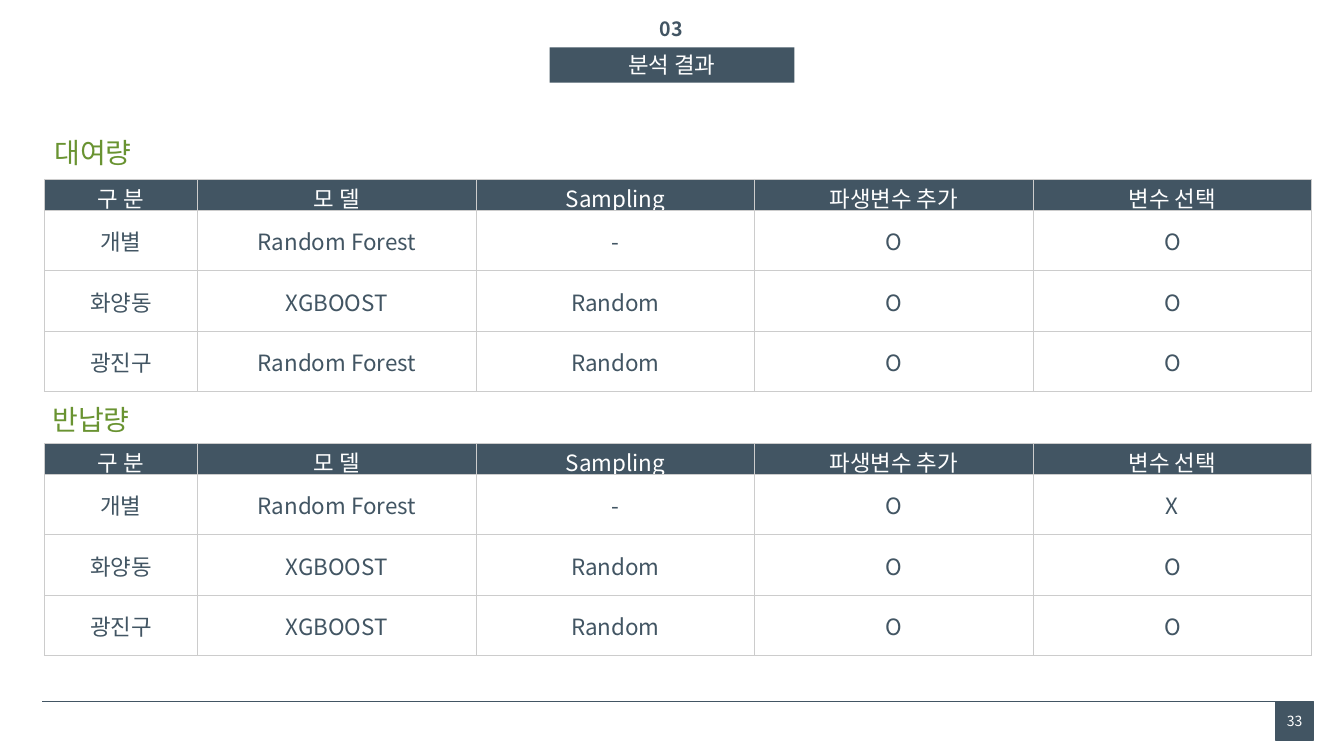
from lxml import etree
from pptx import Presentation
from pptx.dml.color import RGBColor
from pptx.enum.shapes import MSO_CONNECTOR, MSO_SHAPE
from pptx.enum.text import MSO_ANCHOR, MSO_AUTO_SIZE, PP_ALIGN
from pptx.oxml.ns import qn
from pptx.util import Inches, Pt

FONT = "Noto Sans CJK KR"
SLATE, GREEN, WHITE, GRAY = "425563", "699331", "FFFFFF", "CCCCCC"
HEADER = ["구 분", "모 델", "Sampling", "파생변수 추가", "변수 선택"]
RENTALS = [
    HEADER,
    ["개별", "Random Forest", "-", "O", "O"],
    ["화양동", "XGBOOST", "Random", "O", "O"],
    ["광진구", "Random Forest", "Random", "O", "O"],
]
RETURNS = [
    HEADER,
    ["개별", "Random Forest", "-", "O", "X"],
    ["화양동", "XGBOOST", "Random", "O", "O"],
    ["광진구", "XGBOOST", "Random", "O", "O"],
]


def color(hex_string):
    return RGBColor.from_string(hex_string)


def paint(fill, hex_string):
    fill.solid()
    fill.fore_color.rgb = color(hex_string)


def write(frame, text, size=16, ink=SLATE, bold=False, align=PP_ALIGN.CENTER):
    paragraph = frame.paragraphs[0]
    paragraph.alignment = align
    run = paragraph.add_run()
    run.text = text
    font = run.font
    font.size, font.bold, font.name = Pt(size), bold, FONT
    font.color.rgb = color(ink)
    etree.SubElement(run._r.get_or_add_rPr(), qn("a:ea"), typeface=FONT)


def add_label(slide, left, top, width, height, text, **text_format):
    box = slide.shapes.add_textbox(*map(Inches, (left, top, width, height)))
    box.text_frame.word_wrap = True
    write(box.text_frame, text, **text_format)


def add_heading(slide, left, top, width, number, title_text):
    add_label(slide, left, top, width, 0.34, number, size=14, bold=True)
    title = slide.shapes.title
    title.left, title.top = Inches(left + 0.22), Inches(top + 0.35)
    title.width, title.height = Inches(width - 0.43), Inches(0.35)
    paint(title.fill, SLATE)
    frame = title.text_frame
    frame.auto_size = MSO_AUTO_SIZE.NONE
    frame.vertical_anchor = MSO_ANCHOR.MIDDLE
    write(frame, title_text, ink=WHITE)


def add_borders(cell):
    properties = cell._tc.get_or_add_tcPr()
    for side in ("lnL", "lnR", "lnT", "lnB"):
        line = etree.SubElement(properties, qn(f"a:{side}"), w=str(Pt(0.75)))
        fill = etree.SubElement(line, qn("a:solidFill"))
        etree.SubElement(fill, qn("a:srgbClr"), val=GRAY)


def fill_cell(cell, text, is_header):
    side, top, bottom = (0.03, 0.02, 0.02) if is_header else (0.01, 0.01, 0)
    cell.margin_left = cell.margin_right = Inches(side)
    cell.margin_top, cell.margin_bottom = Inches(top), Inches(bottom)
    cell.vertical_anchor = MSO_ANCHOR.MIDDLE
    add_borders(cell)
    paint(cell.fill, SLATE if is_header else WHITE)
    write(cell.text_frame, text, ink=WHITE if is_header else SLATE)


def add_result_table(slide, left, top, width, height, rows):
    first_width, header_height, row_height = 1.52, 0.25, 0.6
    graphic_frame = slide.shapes.add_table(
        len(rows), len(HEADER), *map(Inches, (left, top, width, height)))
    table = graphic_frame.table
    other_width = (width - first_width) / (len(HEADER) - 1)
    for index, column in enumerate(table.columns):
        column.width = Inches(other_width if index else first_width)
    for index, row in enumerate(table.rows):
        row.height = Inches(row_height if index else header_height)
        for cell, text in zip(row.cells, rows[index]):
            fill_cell(cell, text, is_header=index == 0)
    graphic_frame.height = Inches(height)


def add_footer(slide, left, top, right, page):
    size = 0.38
    box = slide.shapes.add_shape(
        MSO_SHAPE.RECTANGLE, Inches(right - size), Inches(top), Inches(size), Inches(size))
    box.shadow.inherit = False
    paint(box.fill, SLATE)
    box.line.color.rgb = color(SLATE)
    box.line.width = Pt(1)
    frame = box.text_frame
    frame.margin_left = frame.margin_right = 0
    frame.vertical_anchor = MSO_ANCHOR.MIDDLE
    write(frame, page, size=10, ink=WHITE)
    rule = slide.shapes.add_connector(
        MSO_CONNECTOR.STRAIGHT, Inches(right - 0.02), Inches(top), Inches(left), Inches(top))
    rule.line.color.rgb = color(SLATE)
    rule.line.width = Pt(0.5)
    etree.SubElement(rule._element.spPr, qn("a:effectLst"))


def main():
    presentation = Presentation()
    presentation.slide_width, presentation.slide_height = Inches(13.33), Inches(7.5)
    slide = presentation.slides.add_slide(presentation.slide_layouts[5])
    add_heading(slide, 5.23, 0.12, 2.86, "03", "분석 결과")
    sections = [("대여량", 0.44, 1.3, 1.78, RENTALS), ("반납량", 0.42, 3.94, 4.4, RETURNS)]
    for name, label_left, label_top, table_top, rows in sections:
        add_result_table(slide, 0.44, table_top, 12.57, 2.1, rows)
        add_label(slide, label_left, label_top, 1.91, 0.44, name,
                  size=20, ink=GREEN, align=PP_ALIGN.LEFT)
    add_footer(slide, 0.42, 6.96, 13.03, "33")
    presentation.save("out.pptx")


if __name__ == "__main__":
    main()
